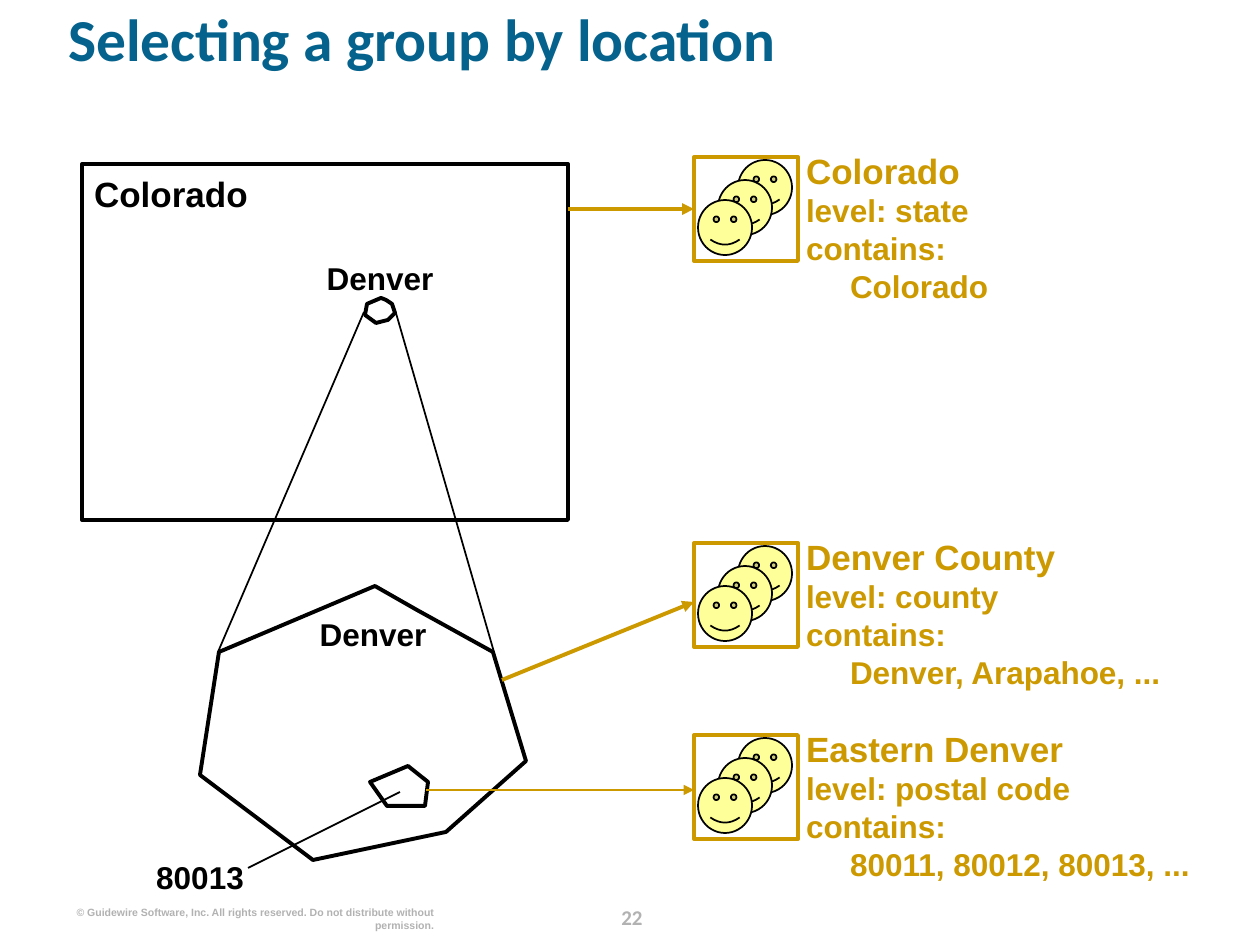
import pptx
import pptx.util
import pptx.dml.color
import pptx.enum.shapes
import pptx.enum.text
import pptx.oxml

PX = 914400 / 126
INK = {"title": "04628C", "gold": "CC9900", "black": "000000",
       "face": "FFFF99", "gray": "B2B2B2"}
KIND = pptx.enum.shapes.MSO_SHAPE
ALIGN = pptx.enum.text.PP_ALIGN
NS = 'xmlns:a="http://schemas.openxmlformats.org/drawingml/2006/main"'
GROUPS = [
    (157, "Colorado", "level: state", "Colorado"),
    (543, "Denver County", "level: county", "Denver, Arapahoe, ..."),
    (735, "Eastern Denver", "level: postal code", "80011, 80012, 80013, ..."),
]
COUNTY = [(375, 586), (219, 652), (200, 775), (313, 860),
          (446, 832), (526, 761), (493, 652), (417, 610)]
ZONE = [(408, 766), (370, 782), (387, 806), (425, 806), (428, 782)]
TOWN = [(381, 298), (367, 304), (365, 315), (376, 323),
        (388, 320), (395, 313), (392, 304), (386, 300)]


def emu(*vals):
    return [round(v * PX) for v in vals]


def rgb(name):
    return pptx.dml.color.RGBColor.from_string(INK[name])


def style(shape, line, width, fill=None):
    shape.shadow.inherit = False
    shape.line.color.rgb = rgb(line)
    shape.line.width = pptx.util.Pt(width)
    if fill:
        shape.fill.solid()
        shape.fill.fore_color.rgb = rgb(fill)
    else:
        shape.fill.background()
    return shape


def clear(frame):
    """Make the frame wrap, with no margins, from the top."""
    frame.word_wrap = True
    frame.auto_size = pptx.enum.text.MSO_AUTO_SIZE.NONE
    frame.vertical_anchor = pptx.enum.text.MSO_ANCHOR.TOP
    frame.margin_left = frame.margin_right = 0
    frame.margin_top = frame.margin_bottom = 0


def ink(para, size, color, face="Arial", align=ALIGN.LEFT):
    para.alignment = align
    para.font.size = pptx.util.Pt(size)
    para.font.bold = True
    para.font.name = face
    para.font.color.rgb = rgb(color)


def label(shapes, box, text, size, color="black", **look):
    frame = shapes.add_textbox(*emu(*box)).text_frame
    clear(frame)
    frame.text = text
    ink(frame.paragraphs[0], size, color, **look)
    return frame


def outline(shapes, points):
    pen = shapes.build_freeform(*points[0], scale=PX)
    pen.add_line_segments(points[1:], close=True)
    return style(pen.convert_to_shape(), "black", 2.25)


def link(shapes, ends, color="black", width=1, arrow=False):
    line = shapes.add_connector(
        pptx.enum.shapes.MSO_CONNECTOR.STRAIGHT, *emu(*ends))
    line.line.color.rgb = rgb(color)
    line.line.width = pptx.util.Pt(width)
    if arrow:
        line.line._get_or_add_ln().append(
            pptx.oxml.parse_xml(f'<a:tailEnd {NS} type="triangle"/>'))
    line._element.spPr.append(pptx.oxml.parse_xml(f"<a:effectLst {NS}/>"))
    return line


def group(slide, left, top, name, level, places):
    """Draw a framed stack of faces with its text, and return the frame."""
    shapes = slide.shapes.add_group_shape().shapes
    frame = label(shapes, (left + 112, top - 8, 400, 155), name, 20, "gold")
    for text in (level, "contains:", places):
        para = frame.add_paragraph()
        para.text = text
        ink(para, 18, "gold")
    para._p.get_or_add_pPr().set("marL", str(emu(44)[0]))
    for step in range(3):
        face = shapes.add_shape(KIND.SMILEY_FACE, *emu(
            left + 44 - 20 * step, top + 3 + 20 * step, 54, 55))
        style(face, "black", 1, "face")
    edge = shapes.add_shape(KIND.RECTANGLE, *emu(left, top, 104, 104))
    return style(edge, "gold", 2.25)


def area(slide, left, top, width, height):
    """Draw the state box and the town in it."""
    shapes = slide.shapes
    state = shapes.add_shape(KIND.RECTANGLE, *emu(left, top, width, height))
    style(state, "black", 2.25)
    label(shapes, (left + 12, top + 8, 236, 42), "Colorado", 20)
    outline(shapes, TOWN)
    label(shapes, (left + 226, top + 95, 144, 38), "Denver", 18,
          align=ALIGN.CENTER)


def county(slide, left, top):
    """Draw the enlarged county with its postal zone."""
    shapes = slide.shapes
    outline(shapes, COUNTY)
    outline(shapes, ZONE)
    for x, y, text in ((101, 29, "Denver"), (-72, 272, "80013")):
        label(shapes, (left + x, top + y, 144, 38), text, 18,
              align=ALIGN.CENTER)
    link(shapes, (248, 868, 400, 792))
    link(shapes, (218, 652, 364, 312))
    link(shapes, (494, 652, 396, 313))


def title(slide, box, text):
    head = slide.shapes.title
    head.left, head.top, head.width, head.height = emu(*box)
    clear(head.text_frame)
    head.text_frame.text = text
    para = head.text_frame.paragraphs[0]
    para.line_spacing = 0.8
    ink(para, 34, "title", "Calibri")


def footer(slide, top):
    label(slide.shapes, (69, top + 8, 365, 28),
          "© Guidewire Software, Inc. All rights reserved. "
          "Do not distribute without permission.",
          6, "gray", align=ALIGN.RIGHT)
    page = label(slide.shapes, (596, top, 72, 32), "22", 12, "gray",
                 face="Calibri", align=ALIGN.CENTER)
    page.paragraphs[0].line_spacing = pptx.util.Pt(18)


def main():
    deck = pptx.Presentation()
    deck.slide_width, deck.slide_height = emu(1260, 945)
    slide = deck.slides.add_slide(deck.slide_layouts[5])
    title(slide, (68, 16, 1147, 102), "Selecting a group by location")
    footer(slide, 898)
    frames = [group(slide, 694, *item) for item in GROUPS]
    area(slide, 82, 164, 486, 356)
    county(slide, 200, 586)
    first = link(slide.shapes, (568, 209, 694, 209), "gold", 2.25, True)
    first.end_connect(frames[0], 1)
    link(slide.shapes, (502, 680, 694, 602), "gold", 2.25, True)
    link(slide.shapes, (426, 790, 694, 790), "gold", 1, True)
    deck.save("out.pptx")


if __name__ == "__main__":
    main()
